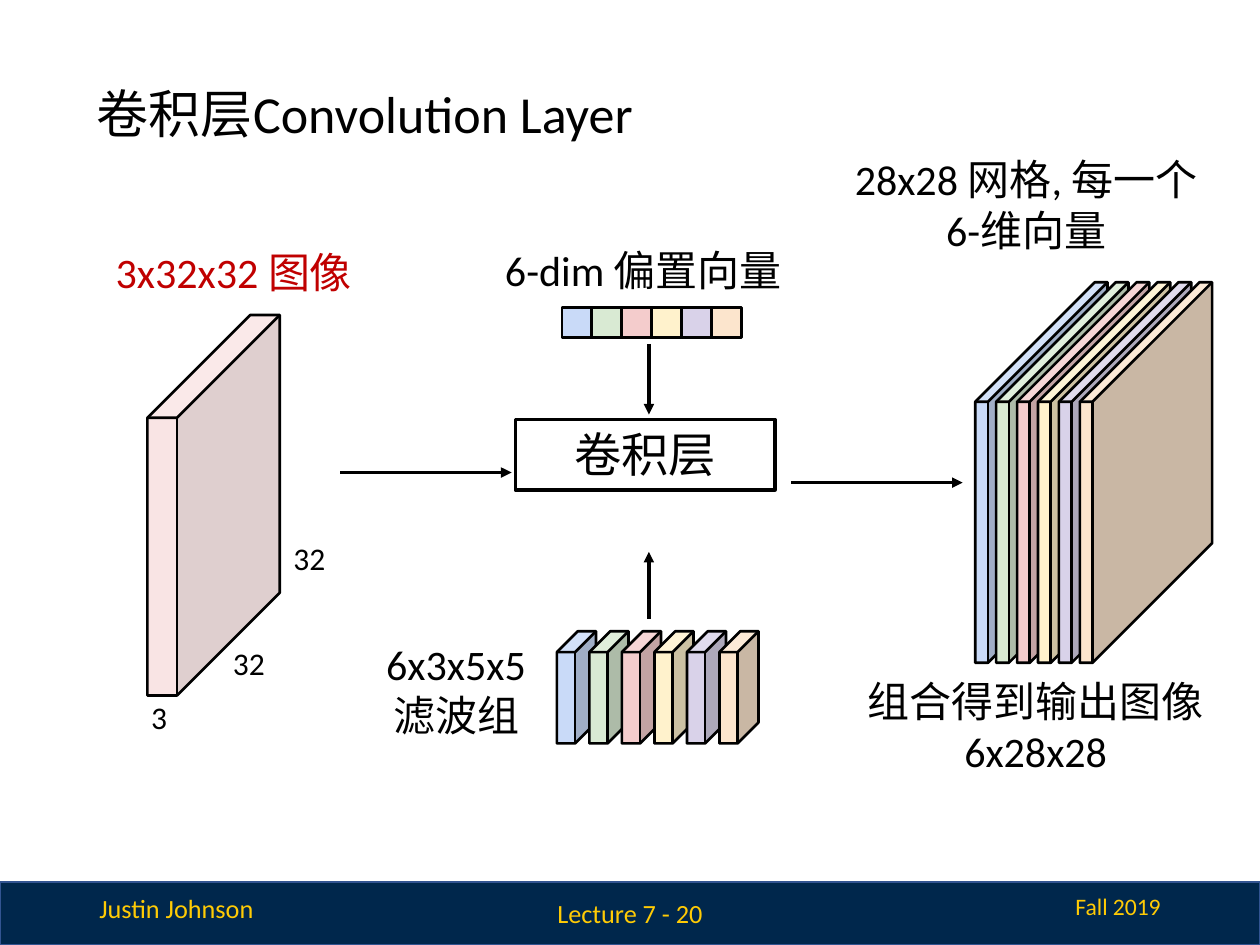
from dataclasses import dataclass
from typing import Optional

from lxml.etree import SubElement
from pptx import Presentation
from pptx.dml.color import RGBColor
from pptx.enum.shapes import MSO_CONNECTOR, MSO_SHAPE
from pptx.enum.text import MSO_ANCHOR, PP_ALIGN
from pptx.oxml.ns import qn
from pptx.util import Inches, Pt

COLUMNS, ROWS = 100, 75
SLIDE_WIDTH, SLIDE_HEIGHT = Inches(10), Inches(7.5)
FONT = "Calibri"
BLACK = RGBColor(0x00, 0x00, 0x00)
RED = RGBColor(0xC0, 0x00, 0x00)
NAVY = RGBColor(0x00, 0x27, 0x4C)
NAVY_EDGE = RGBColor(0x32, 0x54, 0x91)
MAIZE = RGBColor(0xFF, 0xCB, 0x05)
PINK = RGBColor(0xF4, 0xCC, 0xCC)
CHANNEL_COLORS = [
    RGBColor(0xC9, 0xDA, 0xF8),
    RGBColor(0xD9, 0xEA, 0xD3),
    PINK,
    RGBColor(0xFF, 0xF2, 0xCC),
    RGBColor(0xD9, 0xD2, 0xE9),
    RGBColor(0xFC, 0xE5, 0xCD),
]


@dataclass(frozen=True)
class Box:
    left: float
    top: float
    width: float
    height: float

    def lengths(self) -> tuple:
        return column(self.left), row(self.top), column(self.width), row(self.height)


@dataclass(frozen=True)
class Label:
    text: str
    box: Box
    size: float
    color: RGBColor = BLACK
    align: PP_ALIGN = PP_ALIGN.LEFT
    anchor: MSO_ANCHOR = MSO_ANCHOR.TOP
    inset: float = 0.5
    line_spacing: Optional[float] = None


@dataclass(frozen=True)
class Arrow:
    start: tuple
    end: tuple


@dataclass(frozen=True)
class ChannelStack:
    kind: MSO_SHAPE
    first: Box
    step: float
    depth: Optional[float] = None


def column(count: float) -> int:
    return round(SLIDE_WIDTH * count / COLUMNS)


def row(count: float) -> int:
    return round(SLIDE_HEIGHT * count / ROWS)


def write_text(shape, label: Label) -> None:
    frame = shape.text_frame
    frame.word_wrap = True
    frame.vertical_anchor = label.anchor
    frame.margin_left = frame.margin_right = column(1)
    frame.margin_top = frame.margin_bottom = row(label.inset)
    paragraph = frame.paragraphs[0]
    paragraph.alignment = label.align
    if label.line_spacing:
        paragraph.line_spacing = label.line_spacing
    run = paragraph.add_run()
    run.text = label.text
    run.font.name = FONT
    run.font.size = Pt(label.size)
    run.font.color.rgb = label.color


def add_label(slide, label: Label) -> None:
    write_text(slide.shapes.add_textbox(*label.box.lengths()), label)


def add_block(slide, kind: MSO_SHAPE, box: Box, fill: Optional[RGBColor],
              line: RGBColor = BLACK, weight: float = 1.5,
              depth: Optional[float] = None):
    shape = slide.shapes.add_shape(kind, *box.lengths())
    shape.shadow.inherit = False
    if fill is None:
        shape.fill.background()
    else:
        shape.fill.solid()
        shape.fill.fore_color.rgb = fill
    shape.line.color.rgb = line
    shape.line.width = Pt(weight)
    if depth is not None:
        shape.adjustments[0] = depth
    return shape


def set_opacity(shape, percent: int) -> None:
    color = shape.fill._xPr.find(qn("a:solidFill"))[0]
    SubElement(color, qn("a:alpha")).set("val", str(percent * 1000))


def add_stack(slide, stack: ChannelStack) -> None:
    first = stack.first
    for index, color in enumerate(CHANNEL_COLORS):
        box = Box(first.left + index * stack.step, first.top, first.width, first.height)
        add_block(slide, stack.kind, box, color, depth=stack.depth)


def add_arrow(slide, arrow: Arrow) -> None:
    (start_x, start_y), (end_x, end_y) = arrow.start, arrow.end
    connector = slide.shapes.add_connector(
        MSO_CONNECTOR.STRAIGHT,
        column(start_x), row(start_y), column(end_x), row(end_y))
    connector.line.color.rgb = BLACK
    connector.line.width = Pt(2)
    properties = connector._element.spPr
    SubElement(properties.find(qn("a:ln")), qn("a:tailEnd")).set("type", "triangle")
    SubElement(properties, qn("a:effectLst"))


CENTER, RIGHT = PP_ALIGN.CENTER, PP_ALIGN.RIGHT
MIDDLE = MSO_ANCHOR.MIDDLE

LABELS = [
    Label("Justin Johnson", Box(6.9, 70.3, 14.4, 3.5), 15, MAIZE),
    Label("Fall 2019", Box(73.3, 70.3, 19.8, 3.3), 13.5, MAIZE, RIGHT),
    Label("Lecture 7 - 20", Box(36.5, 70.5, 27, 4), 15, MAIZE, CENTER, MIDDLE),
    Label("卷积层Convolution Layer", Box(6.7, 6.5, 45.6, 5.6), 29.7,
          anchor=MIDDLE, line_spacing=0.9),
    Label("32", Box(17.5, 50.1, 5.4, 4.3), 18, inset=1),
    Label("3", Box(11, 54.4, 3.2, 4.4), 18, inset=1),
    Label("32", Box(22.1, 42.1, 4.9, 4.4), 18, BLACK, CENTER, MIDDLE, 1),
    Label("3x32x32 图像", Box(8.2, 18.6, 22.8, 5.2), 24, RED, inset=1),
    Label("28x28 网格, 每一个6-维向量", Box(66.8, 11.2, 29.3, 8.7), 24,
          align=CENTER, inset=1),
    Label("6-dim 偏置向量", Box(39.1, 18.9, 25, 5), 24),
    Label("6x3x5x5滤波组", Box(29.5, 50.2, 13.4, 9.1), 24, align=CENTER),
    Label("组合得到输出图像6x28x28", Box(64.1, 52.6, 36.2, 8.7), 24,
          align=CENTER, inset=1),
]
ARROWS = [
    Arrow((27, 37.5), (40.6, 37.5)),
    Arrow((62.8, 38.3), (76.4, 38.3)),
    Arrow((51.5, 49.1), (51.5, 43.8)),
    Arrow((51.5, 27.3), (51.5, 32.9)),
]
STACKS = [
    ChannelStack(MSO_SHAPE.CUBE, Box(44.2, 50.1, 3.1, 8.9), 2.58, 0.534),
    ChannelStack(MSO_SHAPE.RECTANGLE, Box(44.6, 24.4, 2.4, 2.4), 2.37),
    ChannelStack(MSO_SHAPE.CUBE, Box(77.4, 22.4, 10.5, 30.2), 1.66, 0.904),
]


def main() -> None:
    presentation = Presentation()
    presentation.slide_width, presentation.slide_height = SLIDE_WIDTH, SLIDE_HEIGHT
    slide = presentation.slides.add_slide(presentation.slide_layouts[6])

    add_block(slide, MSO_SHAPE.RECTANGLE, Box(0, 70, COLUMNS, 5), NAVY, NAVY_EDGE, 1)
    input_cube = add_block(slide, MSO_SHAPE.CUBE, Box(11.7, 25, 10.5, 30.2), PINK,
                           depth=0.777)
    set_opacity(input_cube, 52)
    layer_box = Box(40.9, 33.3, 20.6, 5.6)
    layer = add_block(slide, MSO_SHAPE.RECTANGLE, layer_box, None, weight=2)
    write_text(layer, Label("卷积层", layer_box, 27, align=CENTER))

    for stack in STACKS:
        add_stack(slide, stack)
    for label in LABELS:
        add_label(slide, label)
    for arrow in ARROWS:
        add_arrow(slide, arrow)
    presentation.save("out.pptx")


if __name__ == "__main__":
    main()
